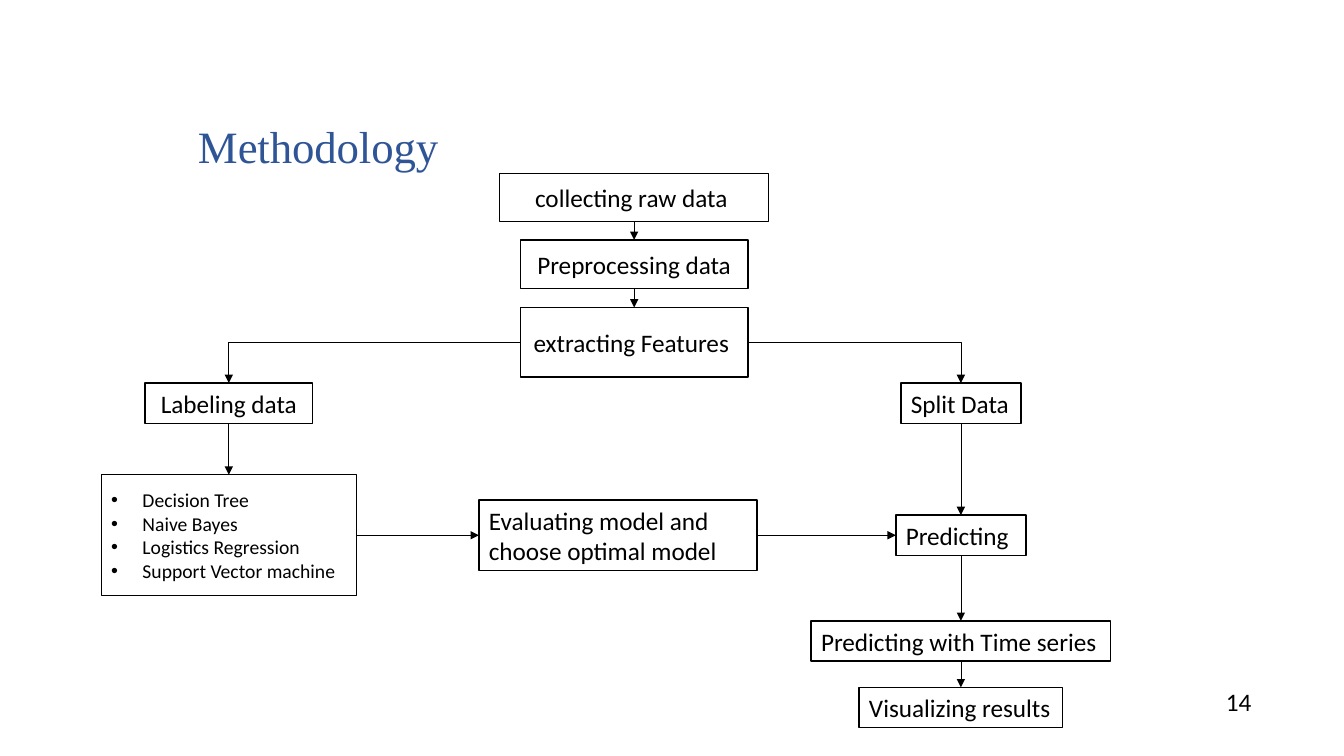
from pptx import Presentation
from pptx.dml.color import RGBColor
from pptx.enum.shapes import MSO_CONNECTOR, MSO_SHAPE
from pptx.enum.text import MSO_ANCHOR, MSO_AUTO_SIZE, PP_ALIGN
from pptx.oxml.ns import qn
from pptx.util import Inches, Pt
from lxml.etree import SubElement

BLACK, WHITE, BLUE = "000000", "FFFFFF", "2F5597"
TOP, LEFT, BOTTOM, RIGHT = range(4)
# Centre lines of the flow chart
WEST, MID, EAST, ROW = 2.27, 6.29, 9.53, 5.31


def color(code):
    return RGBColor.from_string(code)


def write(shape, text, size=18, font="Calibri", ink=BLACK, align=PP_ALIGN.LEFT,
          anchor=MSO_ANCHOR.TOP, wrap=True, grow=False, inset=None,
          before=0, lead=None, indent=0, hang=0, bullet=None, track=None):
    frame = shape.text_frame
    frame.text = text
    frame.word_wrap = wrap
    frame.vertical_anchor = anchor
    frame.auto_size = (MSO_AUTO_SIZE.SHAPE_TO_FIT_TEXT if grow
                       else MSO_AUTO_SIZE.NONE)
    if inset is not None:
        frame.margin_left = frame.margin_right = Inches(0)
        frame.margin_top, frame.margin_bottom = Inches(inset), Inches(0)
    for para in frame.paragraphs:
        para.alignment = align
        para.space_before = Pt(before)
        if lead:
            para.line_spacing = Pt(lead)
        props = para._p.get_or_add_pPr()
        props.set("marL", str(Inches(indent)))
        props.set("indent", str(Inches(hang)))
        if bullet:
            SubElement(props, qn("a:buFont"), typeface="Arial")
            SubElement(props, qn("a:buChar"), char=bullet)
        for run in para.runs:
            run.font.size = Pt(size)
            run.font.name = font
            run.font.color.rgb = color(ink)
            if track is not None:
                run._r.get_or_add_rPr().set("spc", str(track))


def box(slide, text, mid, top, width, height, **style):
    shape = slide.shapes.add_shape(
        MSO_SHAPE.RECTANGLE, Inches(mid - width / 2), Inches(top),
        Inches(width), Inches(height))
    shape.shadow.inherit = False
    shape.fill.solid()
    shape.fill.fore_color.rgb = color(WHITE)
    shape.line.color.rgb = color(BLACK)
    shape.line.width = Pt(1)
    write(shape, text, **style)
    return shape


def arrow(slide, start, out, end, into, bent=False):
    kind = MSO_CONNECTOR.ELBOW if bent else MSO_CONNECTOR.STRAIGHT
    link = slide.shapes.add_connector(kind, 0, 0, 0, 0)
    link.begin_connect(start, out)
    link.end_connect(end, into)
    link.line.color.rgb = color(BLACK)
    link.line.width = Pt(0.5)
    props = link._element.spPr
    if bent:
        props.find(qn("a:prstGeom")).set("prst", "bentConnector2")
    SubElement(props.find(qn("a:ln")), qn("a:tailEnd"), type="triangle")
    SubElement(props, qn("a:effectLst"))


def place(shape, left, top, width, height):
    shape.left, shape.top = Inches(left), Inches(top)
    shape.width, shape.height = Inches(width), Inches(height)


def main():
    deck = Presentation()
    deck.slide_width, deck.slide_height = Inches(13.33), Inches(7.5)
    slide = deck.slides.add_slide(deck.slide_layouts[5])

    # Title
    title = slide.shapes.title
    place(title, 1.64, 1.16, 3.02, 0.55)
    write(title, "Methodology", size=32, font="Times New Roman", ink=BLUE,
          align=PP_ALIGN.CENTER, anchor=MSO_ANCHOR.BOTTOM, grow=True,
          inset=0.01, before=1, indent=0.01, track=-10)

    # Steps
    mid = dict(align=PP_ALIGN.CENTER, anchor=MSO_ANCHOR.MIDDLE)
    fit = dict(wrap=False, grow=True)
    raw = box(slide, "collecting raw data ", MID, 1.72, 2.67, 0.48, **mid)
    prep = box(slide, "Preprocessing data", MID, 2.38, 2.26, 0.48, **mid)
    feats = box(slide, "extracting Features ", MID, 3.05, 2.26, 0.69, **mid)
    label = box(slide, "Labeling data", WEST, 3.8, 1.66, 0.4, **mid)
    models = box(slide, "Decision Tree\nNaive Bayes\nLogistics Regression\n"
                 "Support Vector machine", WEST, ROW - 0.6, 2.53, 1.2, size=14,
                 anchor=MSO_ANCHOR.MIDDLE, indent=0.31, hang=-0.31, bullet="•")
    judge = box(slide, "Evaluating model and choose optimal model",
                6.13, ROW - 0.35, 2.76, 0.7, grow=True)
    split = box(slide, "Split Data", EAST, 3.8, 1.19, 0.4, **fit)
    guess = box(slide, "Predicting", EAST, ROW - 0.2, 1.29, 0.4, **fit)
    series = box(slide, "Predicting with Time series",
                 EAST, 6.16, 2.97, 0.4, **fit)
    show = box(slide, "Visualizing results", EAST, 6.82, 2.02, 0.4, **fit)

    # Arrows down, across and around
    for start, end in ((raw, prep), (prep, feats), (label, models),
                       (split, guess), (guess, series), (series, show)):
        arrow(slide, start, BOTTOM, end, TOP)
    for start, end in ((models, judge), (judge, guess)):
        arrow(slide, start, RIGHT, end, LEFT)
    for out, end in ((LEFT, label), (RIGHT, split)):
        arrow(slide, feats, out, end, TOP, bent=True)

    # Page number
    page = slide.shapes.add_textbox(0, 0, 0, 0)
    place(page, 12.1, 6.94, 0.64, 0.19)
    write(page, "14", grow=True, inset=0, indent=0.06, lead=12.4)

    deck.save("out.pptx")


if __name__ == "__main__":
    main()
